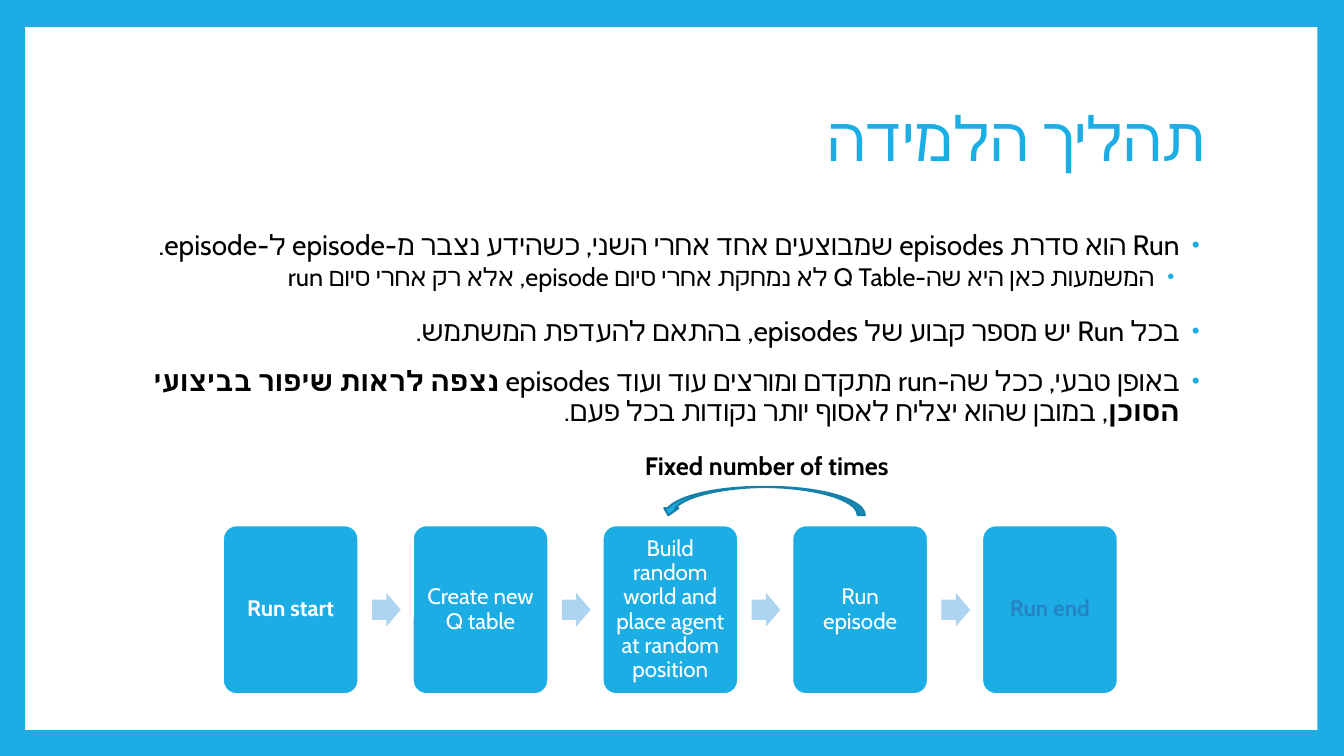
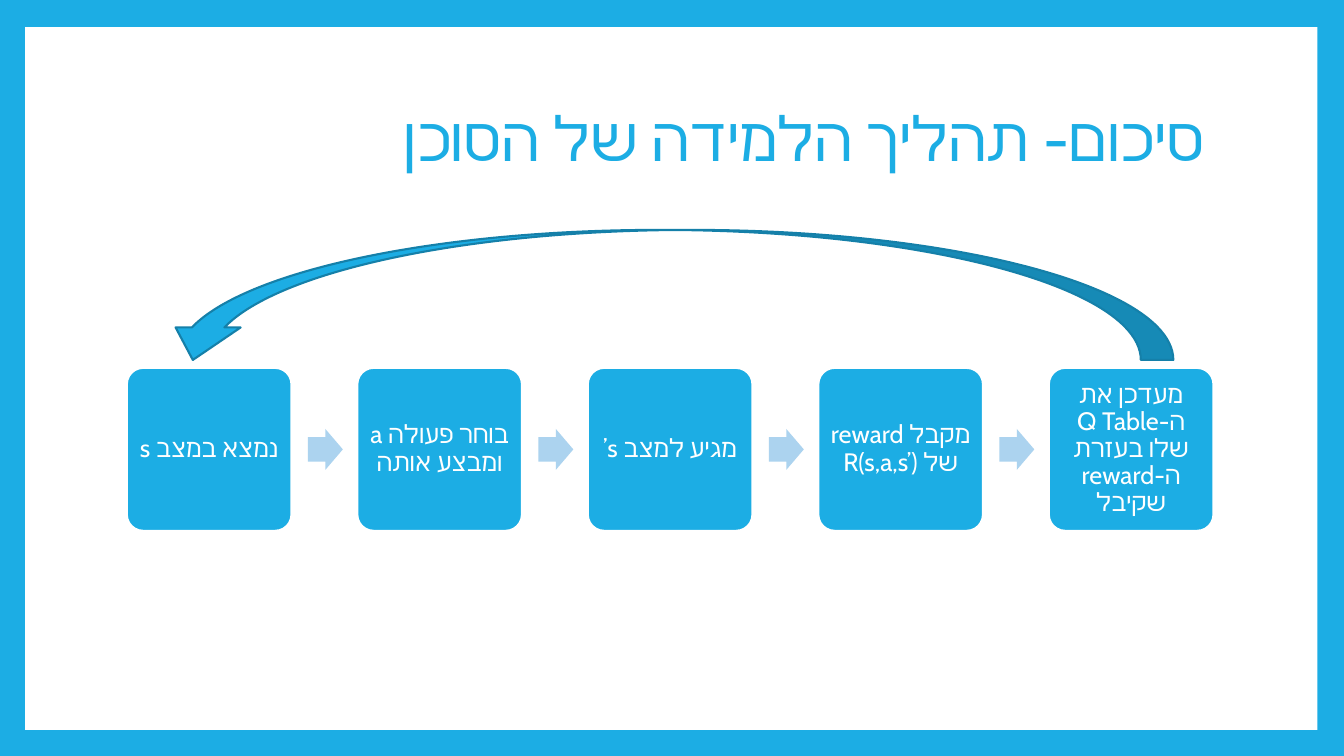
from lxml import etree
from pptx import Presentation
from pptx import util as u
from pptx.dml.color import RGBColor
from pptx.enum import shapes, text
from pptx.oxml import ns

Pt = u.Pt
FONT = "Cabin"
COLOURS = {
    "blue": "1CADE4",
    "edge": "1580A9",
    "pale": "ACD3EF",
    "muted": "2683C6",
    "white": "FFFFFF",
    "black": "000000",
}
PAGE_WIDTH, PAGE_HEIGHT = 960, 540


def colour(name):
    return RGBColor.from_string(COLOURS[name])


class SlideMaker:
    """Holds the deck style and the slide being built."""

    def __init__(self):
        self.deck = Presentation()
        self.deck.slide_width = Pt(PAGE_WIDTH)
        self.deck.slide_height = Pt(PAGE_HEIGHT)
        self.page = None

    # Slide frame and title
    def new_page(self, title):
        self.page = self.deck.slides.add_slide(self.deck.slide_layouts[6])
        background = self.page.background.fill
        background.solid()
        background.fore_color.rgb = colour("blue")
        self.shape(shapes.MSO_SHAPE.RECTANGLE, 18, 19.4, 923, 502, "white")
        box = self.text_box(90, 48, 777.6, 106.6)
        box.text_frame.vertical_anchor = text.MSO_ANCHOR.MIDDLE
        para = box.text_frame.paragraphs[0]
        para.text = title
        self.style(para, 44, "blue", text.PP_ALIGN.RIGHT, rtl=True)

    # Basic elements
    def shape(self, kind, left, top, width, height, fill, line=None):
        shape = self.page.shapes.add_shape(
            kind, Pt(left), Pt(top), Pt(width), Pt(height))
        shape.shadow.inherit = False
        shape.fill.solid()
        shape.fill.fore_color.rgb = colour(fill)
        if line:
            shape.line.color.rgb = colour(line)
            shape.line.width = Pt(1.5)
        else:
            shape.line.fill.background()
        return shape

    def text_box(self, left, top, width, height):
        box = self.page.shapes.add_textbox(
            Pt(left), Pt(top), Pt(width), Pt(height))
        box.text_frame.word_wrap = True
        return box

    def style(self, para, size, ink, align, rtl=False, bold=False, spacing=0.9):
        para.alignment = align
        para.line_spacing = spacing
        if rtl:
            para._p.get_or_add_pPr().set("rtl", "1")
        for span in para.runs:
            span.font.size = Pt(size)
            span.font.color.rgb = colour(ink)
            span.font.name = FONT
            if span.font.bold is None:
                span.font.bold = bold
            script_font = etree.SubElement(span._r.get_or_add_rPr(), ns.qn("a:cs"))
            script_font.set("typeface", FONT)

    # Right-to-left bullet list of (level, [(words, bold), ...])
    def bullets(self, left, top, width, height, items):
        frame = self.text_box(left, top, width, height).text_frame
        for index, (level, spans) in enumerate(items):
            para = frame.add_paragraph() if index else frame.paragraphs[0]
            para.level = level
            self.add_bullet(para, 18 * (level + 1))
            for words, bold in spans:
                span = para.add_run()
                span.text = words
                span.font.bold = bold
            if index:
                para.space_before = Pt(2 if level else 14)
            para.space_after = Pt(4 if level else 0)
            self.style(para, 18 if level else 20, "black",
                       text.PP_ALIGN.RIGHT, rtl=True)

    def add_bullet(self, para, margin):
        props = para._p.get_or_add_pPr()
        props.set("marL", str(Pt(margin)))
        props.set("indent", str(-Pt(14.4)))
        ink = etree.SubElement(props, ns.qn("a:buClr"))
        etree.SubElement(ink, ns.qn("a:srgbClr")).set("val", COLOURS["blue"])
        etree.SubElement(props, ns.qn("a:buSzPct")).set("val", "80000")
        etree.SubElement(props, ns.qn("a:buFont")).set("typeface", "Arial")
        etree.SubElement(props, ns.qn("a:buChar")).set("char", "•")

    # Row of step boxes joined by arrows; steps are (words, ink, bold)
    def process(self, left, top, width, height, size, steps, rtl=False):
        arrow_width, arrow_height = 0.212 * width, 0.248 * width
        for index, (words, ink, bold) in enumerate(steps):
            x = left + index * 1.4 * width
            if index:
                self.shape(shapes.MSO_SHAPE.RIGHT_ARROW, x - 0.3 * width,
                           top + (height - arrow_height) / 2,
                           arrow_width, arrow_height, "pale").adjustments[0] = 0.6
            step = self.shape(shapes.MSO_SHAPE.ROUNDED_RECTANGLE,
                              x, top, width, height, "blue", "white")
            step.adjustments[0] = 0.1
            frame = step.text_frame
            frame.word_wrap = True
            frame.vertical_anchor = text.MSO_ANCHOR.MIDDLE
            frame.margin_left = frame.margin_right = Pt(5)
            frame.margin_top = frame.margin_bottom = Pt(5)
            frame.text = words
            self.style(frame.paragraphs[0], size, ink,
                       text.PP_ALIGN.CENTER, rtl, bold)

    def loop_arrow(self, left, top, width, height):
        arrow = self.shape(shapes.MSO_SHAPE.CURVED_UP_ARROW,
                           left, top, width, height, "blue", "edge")
        arrow.rotation = 180

    def label(self, left, top, width, height, words):
        para = self.text_box(left, top, width, height).text_frame.paragraphs[0]
        para.text = words
        self.style(para, 18, "black", text.PP_ALIGN.LEFT, bold=True, spacing=1.0)


def main():
    maker = SlideMaker()

    # Learning process
    maker.new_page("תהליך הלמידה")
    maker.bullets(90, 162, 777.6, 318, [
        (0, [("Run הוא סדרת episodes שמבוצעים אחד אחרי השני, "
              "כשהידע נצבר מ-episode ל-episode.", False)]),
        (1, [("המשמעות כאן היא שה-Q Table לא נמחקת אחרי סיום episode, "
              "אלא רק אחרי סיום run", False)]),
        (0, [("בכל Run יש מספר קבוע של episodes, בהתאם להעדפת המשתמש.", False)]),
        (0, [("באופן טבעי, ככל שה-run מתקדם ומורצים עוד ועוד episodes ", False),
             ("נצפה לראות שיפור בביצועי הסוכן", True),
             (", במובן שהוא יצליח לאסוף יותר נקודות בכל פעם.", False)]),
    ])
    maker.process(159.2, 375.2, 96.85, 120.6, 16, [
        ("Run start", "white", True),
        ("Create new Q table", "white", False),
        ("Build random world and place agent at random position", "white", False),
        ("Run episode", "white", False),
        ("Run end", "muted", True),
    ])
    maker.loop_arrow(472.3, 347.8, 145.4, 20.2)
    maker.label(453.6, 318.2, 204.5, 29, "Fixed number of times")

    # Summary of the agent's cycle
    maker.new_page("סיכום- תהליך הלמידה של הסוכן")
    cycle = [
        "נמצא במצב s",
        "בוחר פעולה a ומבצע אותה",
        "מגיע למצב s’",
        "מקבל reward של R(s,a,s’)",
        "מעדכן את ה-Q Table שלו בעזרת ה-reward שקיבל",
    ]
    maker.process(90.6, 262.8, 117.6, 116.4, 18,
                  [(words, "white", False) for words in cycle], rtl=True)
    maker.loop_arrow(114.5, 164.2, 723.6, 92.9)

    maker.deck.save("out.pptx")


if __name__ == "__main__":
    main()
